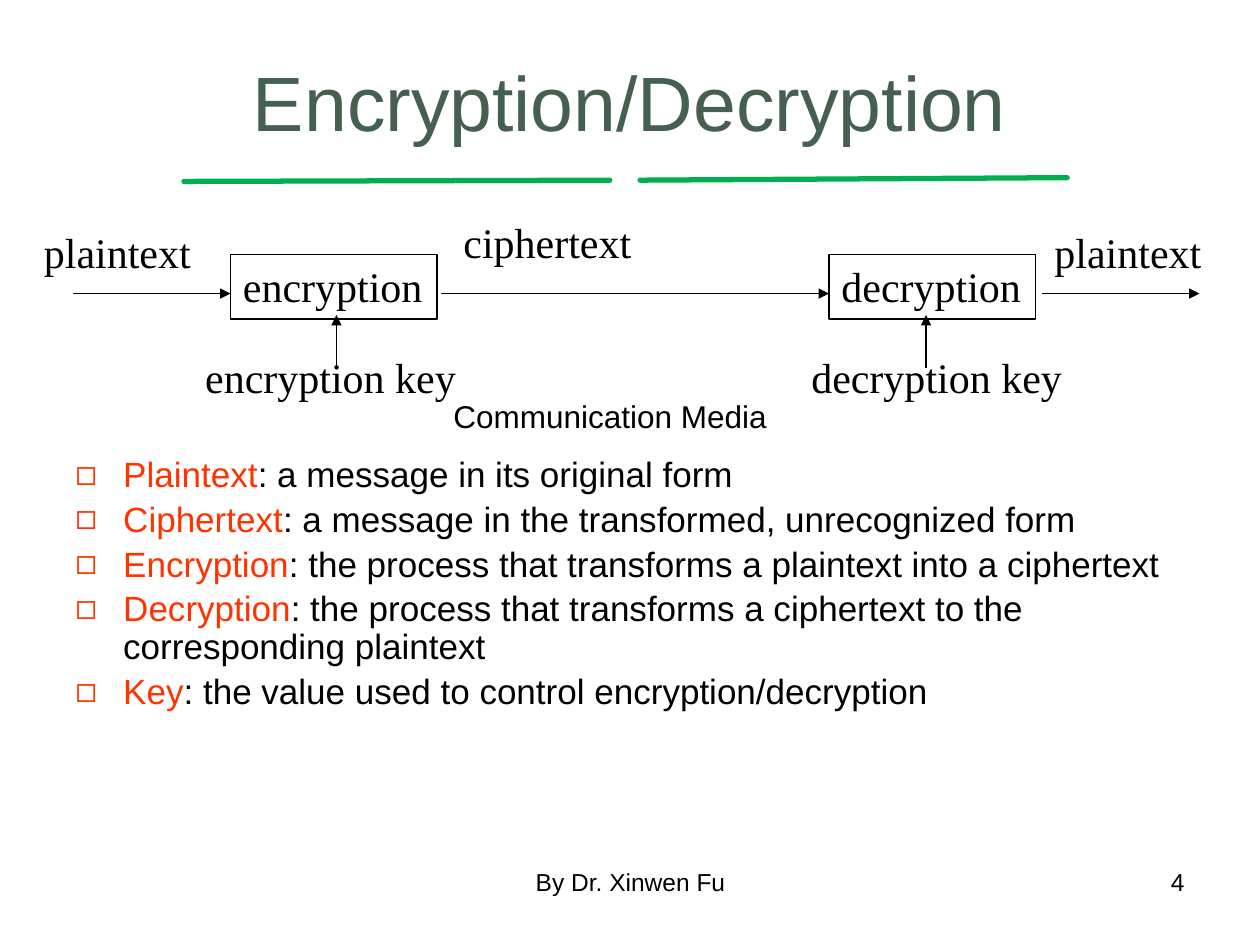
from dataclasses import dataclass

from lxml import etree
from pptx import Presentation
from pptx.dml.color import RGBColor
from pptx.enum.shapes import MSO_CONNECTOR, MSO_SHAPE
from pptx.enum.text import MSO_ANCHOR, MSO_AUTO_SIZE, PP_ALIGN
from pptx.oxml.ns import qn
from pptx.util import Inches, Pt

BLACK = RGBColor(0x00, 0x00, 0x00)
GREEN = RGBColor(0x00, 0xB0, 0x50)
DARK_GREEN = RGBColor(0x45, 0x5F, 0x51)
RED = RGBColor(0xFF, 0x33, 0x00)
SANS, SERIF = "Arial", "Times New Roman"
LEFT, CENTER, RIGHT = PP_ALIGN.LEFT, PP_ALIGN.CENTER, PP_ALIGN.RIGHT
TOP, MIDDLE = MSO_ANCHOR.TOP, MSO_ANCHOR.MIDDLE
FIT_SHAPE = MSO_AUTO_SIZE.SHAPE_TO_FIT_TEXT
STRAIGHT, RECTANGLE = MSO_CONNECTOR.STRAIGHT, MSO_SHAPE.RECTANGLE

FLOW_Y = 2.33
KEY_ARROW_BOTTOM, KEY_ARROW_TOP = 2.92, 2.5
HANGING_INDENT = Inches(0.38)


@dataclass
class Label:
    text: str
    left: float
    top: float
    width: float
    height: float = 0.5
    size: int = 24
    font: str = SERIF
    color: RGBColor = BLACK
    align: PP_ALIGN = LEFT
    anchor: MSO_ANCHOR = TOP
    wrap: bool = False
    boxed: bool = False


@dataclass
class Line:
    x1: float
    y1: float
    x2: float
    y2: float
    color: RGBColor = BLACK
    weight: float = 1
    arrow: bool = True


@dataclass
class Definition:
    term: str
    meaning: str


LABELS = [
    # Title and footer
    Label("Encryption/Decryption", 0.5, 0.21, 9, 1.18, 44, SANS, DARK_GREEN,
          CENTER, MIDDLE, wrap=True),
    Label("By Dr. Xinwen Fu", 3.42, 6.83, 3.17, 0.52, 14, SANS, align=CENTER, wrap=True),
    Label("4", 7.17, 6.83, 2.33, 0.52, 14, SANS, align=RIGHT, wrap=True),
    # Diagram
    Label("plaintext", 0.25, 1.75, 1.38),
    Label("encryption", 1.83, 2.02, 1.64, 0.51, boxed=True),
    Label("ciphertext", 3.58, 1.67, 1.53),
    Label("decryption", 6.58, 2.02, 1.64, 0.51, boxed=True),
    Label("plaintext", 8.27, 1.75, 1.38),
    Label("encryption key", 1.53, 2.74, 2.19),
    Label("decryption key", 6.34, 2.74, 2.19),
    Label("Communication Media", 3.5, 3.1, 2.97, 0.43, 18, SANS),
]

TITLE_RULES = [
    Line(1.46, 1.44, 4.84, 1.43, GREEN, 3, arrow=False),
    Line(5.08, 1.43, 8.47, 1.41, GREEN, 3, arrow=False),
]
FLOW_ARROWS = [Line(start, FLOW_Y, end, FLOW_Y)
               for start, end in ((0.58, 1.83), (3.5, 6.58), (8.27, 9.52))]
KEY_ARROWS = [Line(x, KEY_ARROW_BOTTOM, x, KEY_ARROW_TOP) for x in (2.67, 7.35)]

DEFINITIONS = [
    Definition("Plaintext", "a message in its original form"),
    Definition("Ciphertext", "a message in the transformed, unrecognized form"),
    Definition("Encryption", "the process that transforms a plaintext into a ciphertext"),
    Definition("Decryption", "the process that transforms a ciphertext to the "
                             "corresponding plaintext"),
    Definition("Key", "the value used to control encryption/decryption"),
]


def add_line(slide, line: Line) -> None:
    connector = slide.shapes.add_connector(
        STRAIGHT, *(Inches(v) for v in (line.x1, line.y1, line.x2, line.y2)))
    connector.line.color.rgb = line.color
    connector.line.width = Pt(line.weight)
    outline = connector.line._get_or_add_ln()
    if line.arrow:
        etree.SubElement(outline, qn("a:tailEnd"), type="triangle")
    else:
        outline.set("cap", "rnd")
    etree.SubElement(connector._element.spPr, qn("a:effectLst"))


def add_label(slide, label: Label) -> None:
    area = [Inches(v) for v in (label.left, label.top, label.width, label.height)]
    if label.boxed:
        box = slide.shapes.add_shape(RECTANGLE, *area)
        box.shadow.inherit = False
        box.fill.background()
        box.line.color.rgb = BLACK
        box.line.width = Pt(1)
    else:
        box = slide.shapes.add_textbox(*area)
    frame = box.text_frame
    frame.word_wrap = label.wrap
    if not label.wrap:
        frame.auto_size = FIT_SHAPE
    frame.vertical_anchor = label.anchor
    paragraph = frame.paragraphs[0]
    paragraph.text = label.text
    paragraph.alignment = label.align
    paragraph.font.size = Pt(label.size)
    paragraph.font.name = label.font
    paragraph.font.color.rgb = label.color


def add_definitions(slide, definitions: list[Definition]) -> None:
    box = slide.shapes.add_textbox(Inches(0.5), Inches(3.58), Inches(9), Inches(3.12))
    frame = box.text_frame
    frame.word_wrap = True
    for index, definition in enumerate(definitions):
        paragraph = frame.add_paragraph() if index else frame.paragraphs[0]
        paragraph.line_spacing = 0.9
        if index:
            paragraph.space_before = Pt(4)
        properties = paragraph._p.get_or_add_pPr()
        properties.set("marL", str(HANGING_INDENT))
        properties.set("indent", str(-HANGING_INDENT))
        etree.SubElement(properties, qn("a:buFont"), typeface=SANS)
        etree.SubElement(properties, qn("a:buChar"), char="◻")
        paragraph.font.size = Pt(20)
        paragraph.font.name = SANS
        for text, color in ((definition.term, RED), (f": {definition.meaning}", BLACK)):
            run = paragraph.add_run()
            run.text = text
            run.font.color.rgb = color


def main() -> None:
    presentation = Presentation()
    presentation.slide_width = Inches(10)
    presentation.slide_height = Inches(7.5)
    slide = presentation.slides.add_slide(presentation.slide_layouts[6])

    for line in TITLE_RULES + FLOW_ARROWS + KEY_ARROWS:
        add_line(slide, line)
    for label in LABELS:
        add_label(slide, label)
    add_definitions(slide, DEFINITIONS)

    presentation.save("out.pptx")


if __name__ == "__main__":
    main()
